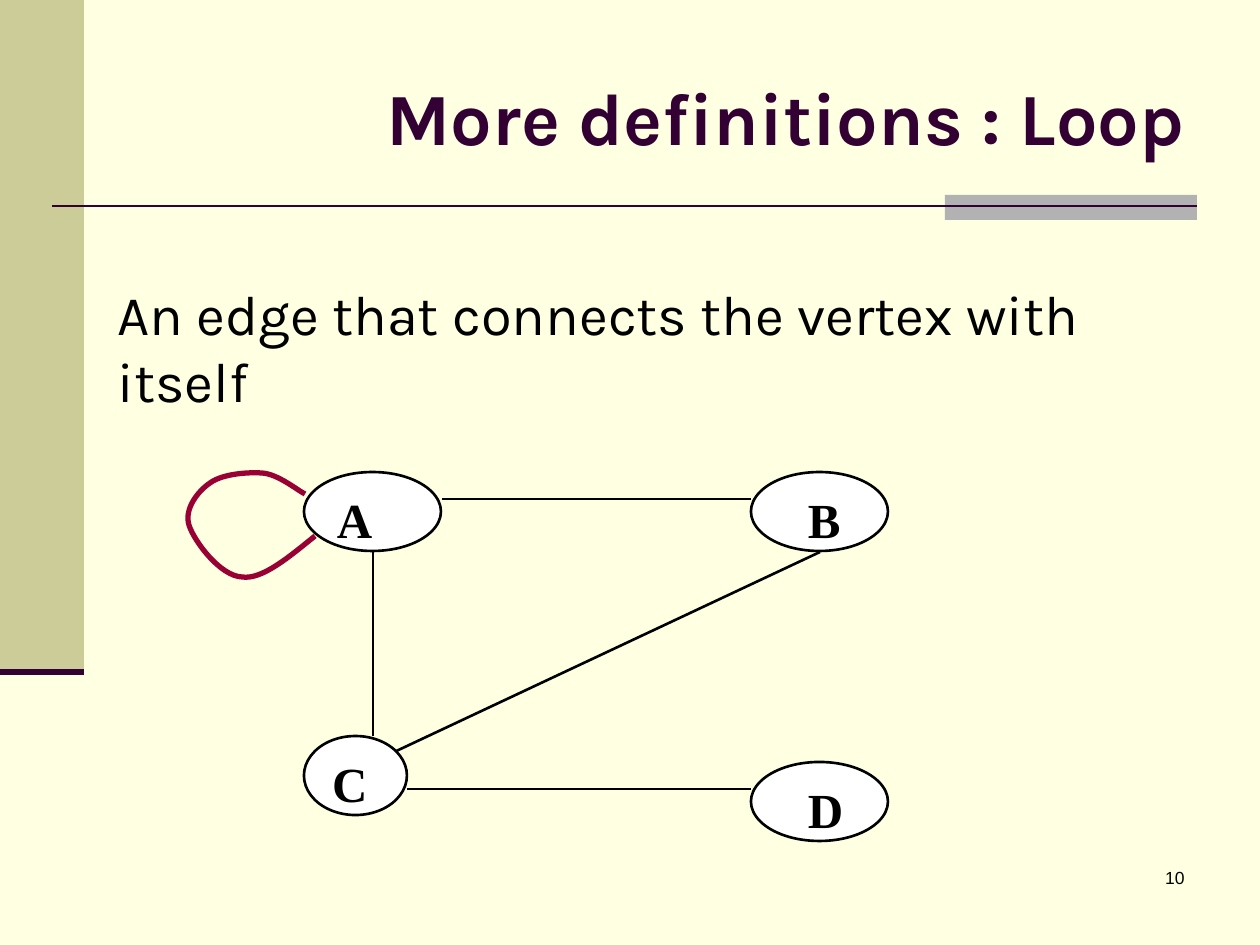
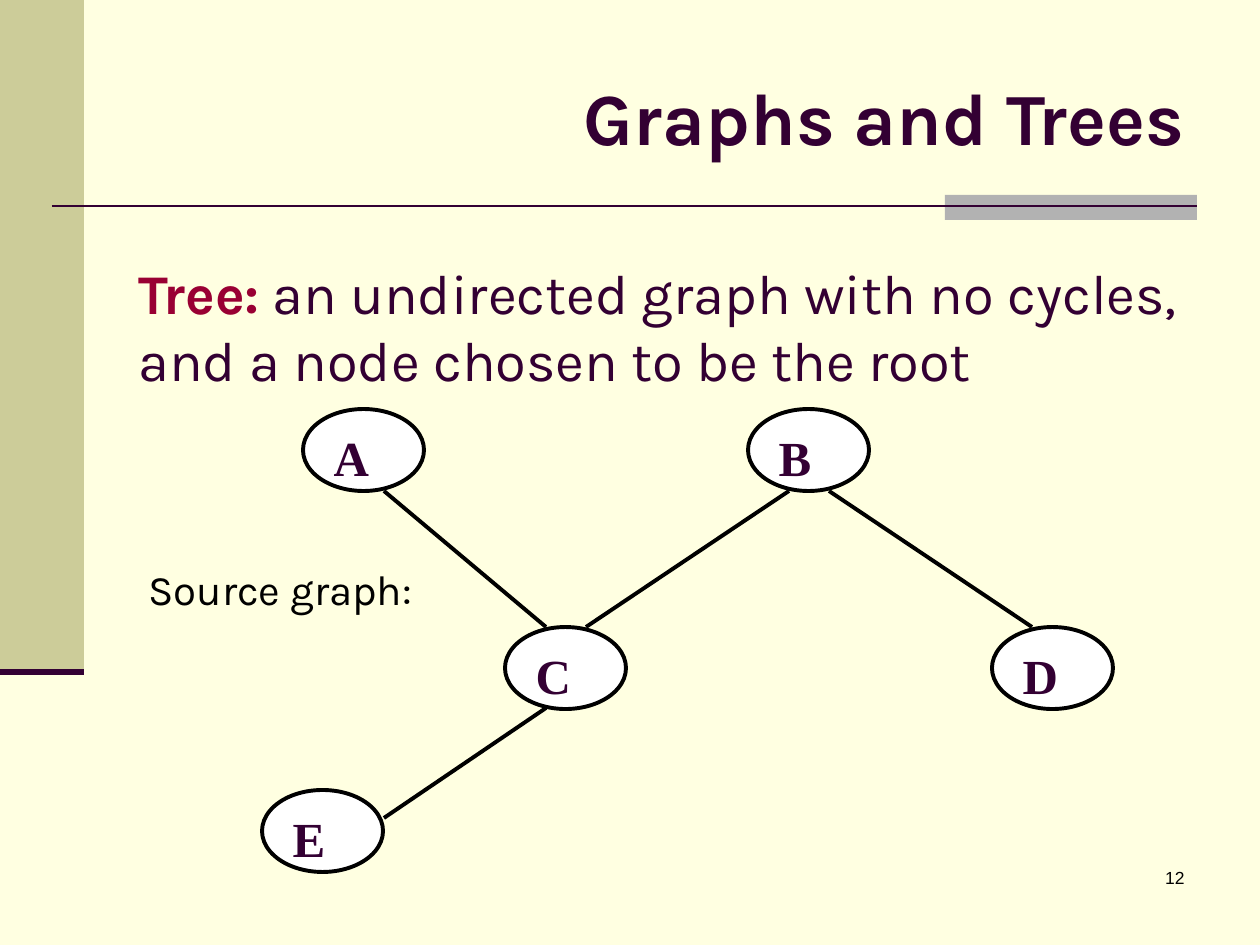
from lxml import etree
from pptx import Presentation
from pptx.dml.color import RGBColor
from pptx.enum.shapes import MSO_CONNECTOR, MSO_SHAPE
from pptx.enum.text import MSO_ANCHOR, MSO_AUTO_SIZE, PP_ALIGN
from pptx.oxml.ns import qn
from pptx.util import Emu, Pt

SCALE = 914400 / 126
TITLE_ONLY = 5
STRAIGHT = MSO_CONNECTOR.STRAIGHT
OVAL, RECTANGLE = MSO_SHAPE.OVAL, MSO_SHAPE.RECTANGLE
TOP, MIDDLE = MSO_ANCHOR.TOP, MSO_ANCHOR.MIDDLE
LEFT, RIGHT = PP_ALIGN.LEFT, PP_ALIGN.RIGHT
NO_FIT = MSO_AUTO_SIZE.NONE

CREAM, OLIVE, GREY = "FFFFE1", "CCCC99", "B2B2B2"
PLUM, CRIMSON, BLACK, WHITE = "330033", "990033", "000000", "FFFFFF"
KARLA, SERIF, SANS = "Karla", "Times New Roman", "Arial"
SPACE_BEFORE = 3.5


def px(length):
    """Turn pixels into EMU."""
    return Emu(round(length * SCALE))


def color(value):
    """Turn a hex string into a colour."""
    return RGBColor.from_string(value)


def fill_shape(shape, value):
    """Give a shape a plain fill without line or shadow."""
    shape.shadow.inherit = False
    shape.fill.solid()
    shape.fill.fore_color.rgb = color(value)
    shape.line.fill.background()


def set_line(shape, value, width):
    """Set the line colour and width."""
    shape.line.color.rgb = color(value)
    shape.line.width = Pt(width)


def add_span(para, text, size, font, value, bold=False):
    """Add one formatted run."""
    span = para.add_run()
    span.text = text
    span.font.size = Pt(size)
    span.font.name = font
    span.font.bold = bold
    span.font.color.rgb = color(value)


def start_text(shape, align=LEFT, anchor=TOP, before=0):
    """Prepare the text frame and return its first paragraph."""
    frame = shape.text_frame
    frame.word_wrap = True
    frame.auto_size = NO_FIT
    frame.vertical_anchor = anchor
    para = frame.paragraphs[0]
    para.alignment = align
    para.space_before = Pt(before)
    return para


def add_rectangle(page, box, value):
    """Add a plain rectangle."""
    shape = page.shapes.add_shape(RECTANGLE, *map(px, box))
    fill_shape(shape, value)
    return shape


def add_line(page, ends, value, width):
    """Add a straight line without shadow."""
    line = page.shapes.add_connector(STRAIGHT, *map(px, ends))
    set_line(line, value, width)
    etree.SubElement(line.element.spPr, qn("a:effectLst"))
    return line


def add_text(page, box, spans, align=LEFT, before=SPACE_BEFORE):
    """Add a text box with one paragraph of spans."""
    shape = page.shapes.add_textbox(*map(px, box))
    para = start_text(shape, align, before=before)
    for span in spans:
        add_span(para, *span)


def add_node(page, box, label, value, width, indent=0):
    """Add an oval graph node with its letter."""
    node = page.shapes.add_shape(OVAL, *map(px, box))
    fill_shape(node, WHITE)
    set_line(node, BLACK, width)
    para = start_text(node, before=SPACE_BEFORE)
    node.text_frame.margin_left = px(13 + indent)
    add_span(para, label, 28, SERIF, value, True)


def add_curve(page, points, value, width):
    """Add an open outline of cubic curves, three points to each."""
    start, *rest = [(px(x), px(y)) for x, y in points]
    builder = page.shapes.build_freeform(*start)
    builder.add_line_segments(rest, close=False)
    curve = builder.convert_to_shape()
    curve.shadow.inherit = False
    curve.fill.background()
    set_line(curve, value, width)
    steps = curve.element.xpath(".//a:lnTo")
    for first in range(0, len(steps), 3):
        cubic = etree.SubElement(steps[first].getparent(), qn("a:cubicBezTo"))
        for step in steps[first:first + 3]:
            cubic.append(step[0])
            step.getparent().remove(step)


def decorate_layout(layout, page):
    """Move the bands and rules, drawn on a page, to the layout."""
    parts = [
        add_rectangle(page, (0, 0, 84, 672), OLIVE),
        add_rectangle(page, (945, 195, 252, 25), GREY),
        add_line(page, (52, 206, 1197, 206), PLUM, 1.5),
        add_line(page, (0, 672, 84, 672), PLUM, 3.5),
    ]
    for number, part in enumerate(parts, 101):
        part.element.xpath(".//p:cNvPr")[0].set("id", str(number))
        layout.shapes.element.append(part.element)


def add_page(deck, title, number):
    """Add a page with its title and page number."""
    page = deck.slides.add_slide(deck.slide_layouts[TITLE_ONLY])
    shape = page.shapes.title
    shape.left, shape.top, shape.width, shape.height = map(px, (126, 38, 1071, 157))
    add_span(start_text(shape, RIGHT, MIDDLE), title, 42, KARLA, PLUM, True)
    add_text(page, (935, 861, 262, 63), [(number, 10, SANS, BLACK)], RIGHT, 0)
    return page


def add_loop_graph(page):
    """Draw the graph whose node A has a loop."""
    edges = [(820, 552, 373, 762), (442, 499, 751, 499),
             (373, 552, 373, 736), (407, 789, 751, 789)]
    for ends in edges:
        add_line(page, ends, BLACK, 1.5)
    nodes = [("A", 304, 472, 137, 0), ("B", 751, 472, 137, 24),
             ("C", 304, 736, 103, 0), ("D", 751, 762, 137, 24)]
    for label, left, top, width, indent in nodes:
        add_node(page, (left, top, width, 79), label, BLACK, 1.5, indent)
    loop = [(315, 536), (289, 557), (262, 580), (242, 577),
            (220, 576), (194, 541), (189, 525),
            (184, 509), (198, 491), (210, 483),
            (222, 474), (247, 472), (262, 473),
            (278, 474), (297, 490), (305, 494)]
    add_curve(page, loop, CRIMSON, 3)


def add_tree_graph(page):
    """Draw the source graph of the tree."""
    edges = [(384, 491, 546, 627), (789, 491, 586, 627),
             (546, 708, 384, 818), (829, 491, 1032, 627)]
    for ends in edges:
        add_line(page, ends, BLACK, 2.25)
    nodes = [("A", 303, 409), ("B", 748, 409), ("C", 505, 627),
             ("D", 992, 627), ("E", 262, 790)]
    for label, left, top in nodes:
        add_node(page, (left, top, 121, 82), label, PLUM, 2.25)


def main():
    """Build and save the deck."""
    deck = Presentation()
    deck.slide_width, deck.slide_height = px(1260), px(945)
    background = deck.slide_master.background.fill
    background.solid()
    background.fore_color.rgb = color(CREAM)

    page = add_page(deck, "More definitions : Loop", "10")
    decorate_layout(deck.slide_layouts[TITLE_ONLY], page)
    add_text(page, (105, 273, 1113, 147),
             [("An edge that connects the vertex with itself", 32, KARLA, BLACK)])
    add_loop_graph(page)

    page = add_page(deck, "Graphs and Trees", "12")
    add_text(page, (126, 252, 1092, 147),
             [("Tree:", 32, KARLA, CRIMSON, True),
              (" ", 28, KARLA, BLACK, True),
              ("an undirected graph with no cycles, and a node chosen to be the root",
               32, KARLA, PLUM)])
    add_tree_graph(page)
    add_text(page, (136, 557, 325, 63), [("Source graph:", 24, KARLA, BLACK)])

    deck.save("out.pptx")


if __name__ == "__main__":
    main()
